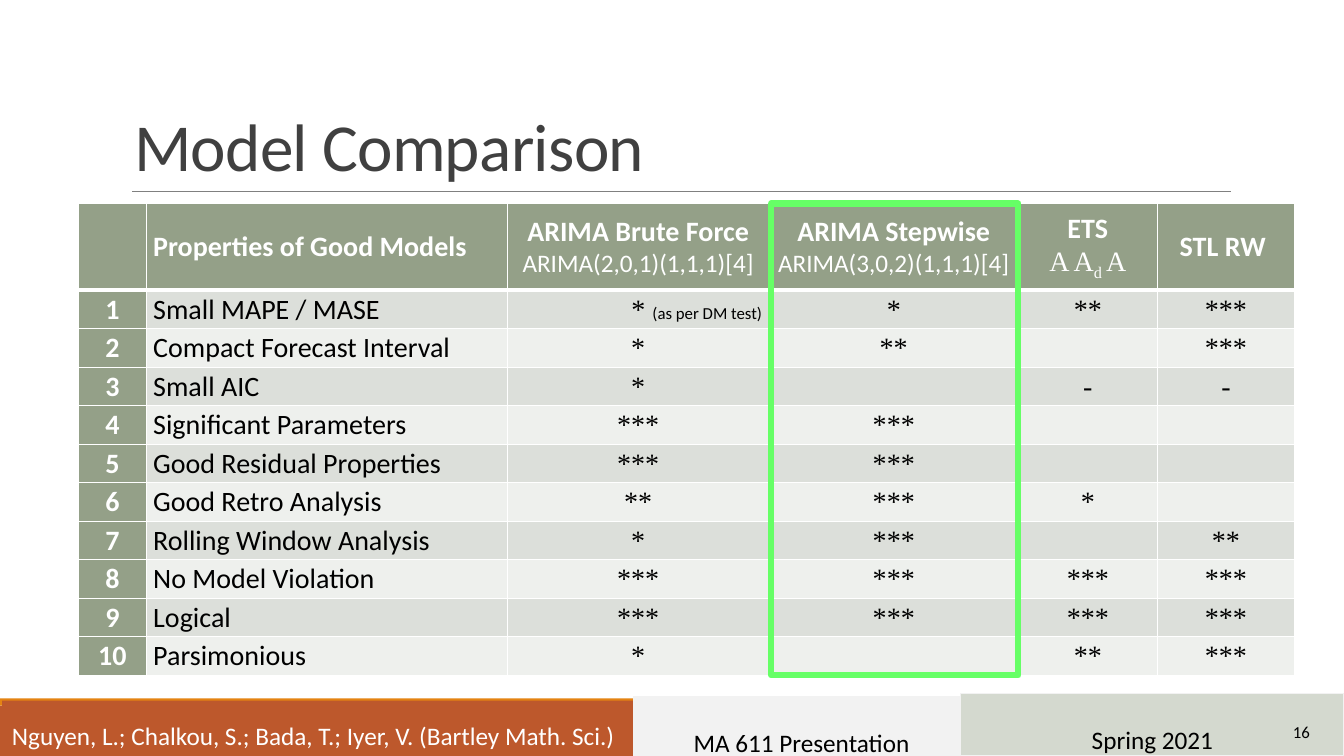
from lxml.etree import SubElement
from pptx import Presentation
from pptx.dml.color import RGBColor
from pptx.enum.shapes import MSO_CONNECTOR, MSO_SHAPE
from pptx.enum.text import MSO_ANCHOR as ANCHOR, PP_ALIGN as ALIGN
from pptx.oxml import parse_xml
from pptx.oxml.ns import nsdecls, qn
from pptx.util import Inches, Pt

COLORS = {
    "white": "FFFFFF", "black": "000000", "title": "404040", "rule": "808080",
    "rust": "BD582C", "orange": "E48312", "pale": "F2F2F2", "sage": "D4D9CF",
    "header": "94A088", "odd": "DCDFDA", "even": "EEF0ED", "green": "66FF66",
}
SANS, SERIF = "Calibri", "Times New Roman"
STYLES = {
    "title": dict(size=48, name=SANS, color="title"),
    "head": dict(size=20, name=SANS, color="white", bold=True),
    "order": dict(size=18, name=SANS, color="white", bold=False),
    "ets": dict(size=20, name=SERIF, color="white", bold=False),
    "sub": dict(size=20, name=SERIF, color="white", bold=False),
    "property": dict(size=20, name=SANS, color="black", bold=False),
    "stars": dict(size=20, name=SERIF, color="black", bold=False),
    "note": dict(size=12, name=SANS, color="black", bold=False),
    "authors": dict(size=18, name=SANS, color="white"),
    "footer": dict(size=18, name=SANS, color="black"),
}

# Each header cell is a list of paragraphs, each paragraph a list of runs
HEADERS = [
    [],
    [[("Properties of Good Models", "head")]],
    [[("ARIMA Brute Force", "head")], [("ARIMA(2,0,1)(1,1,1)[4]", "order")]],
    [[("ARIMA Stepwise", "head")], [("ARIMA(3,0,2)(1,1,1)[4]", "order")]],
    [[("ETS", "head")], [("A A", "ets"), ("d ", "sub"), ("A", "ets")]],
    [[("STL RW ", "head")]],
]
# Property, then the rating of each model
RATINGS = [
    ("Small MAPE / MASE", "* ", "*", "**", "***"),
    ("Compact Forecast Interval", "*", "**", "", "***"),
    ("Small AIC", "*", "", "-", "-"),
    ("Significant Parameters", "***", "***", "", ""),
    ("Good Residual Properties", "***", "***", "", ""),
    ("Good Retro Analysis", "**", "***", "*", ""),
    ("Rolling Window Analysis", "*", "***", "", "**"),
    ("No Model Violation", "***", "***", "***", "***"),
    ("Logical", "***", "***", "***", "***"),
    ("Parsimonious", "*", "", "**", "***"),
]
DM_NOTE = ("(as per DM test)", "note")
COL_WIDTHS = [0.67, 3.58, 2.6, 2.47, 1.38, 1.36]
HEADER_HEIGHT, ROW_HEIGHT = 0.86, 0.382
TABLE_LEFT, TABLE_TOP, TABLE_HEIGHT = 0.78, 2.02, 4.68

BANDS = [  # box, fill
    ((0, 7, 13.33, 0.5), "rust"),
    ((0, 6.93, 13.33, 0.07), "orange"),
]
FOOTERS = [  # box, fill, line, text, style, anchor, alignment, line spacing
    ((0.02, 6.95, 6.35, 0.51), "rust", None,
     "Nguyen, L.; Chalkou, S.; Bada, T.; Iyer, V. (Bartley Math. Sci.)",
     "authors", ANCHOR.TOP, ALIGN.LEFT, 1.5),
    ((6.28, 6.91, 3.34, 0.62), "pale", "pale", "MA 611 Presentation",
     "footer", ANCHOR.MIDDLE, ALIGN.CENTER, 2.0),
    ((9.53, 6.88, 3.8, 0.62), "sage", "pale", "Spring 2021",
     "footer", ANCHOR.MIDDLE, ALIGN.CENTER, 2.0),
]


def rgb(name):
    return RGBColor.from_string(COLORS[name])


def inches(box):
    return [Inches(v) for v in box]


def add_run(p, text, style):
    r = p.add_run()
    r.text = text
    for key, value in STYLES[style].items():
        if key == "color":
            r.font.color.rgb = rgb(value)
        else:
            setattr(r.font, key, Pt(value) if key == "size" else value)
    if style == "sub":
        r.font._element.set("baseline", "-25000")
    return r


def add_rect(slide, box, fill=None, line=None, width=0.75):
    sp = slide.shapes.add_shape(MSO_SHAPE.RECTANGLE, *inches(box))
    sp.shadow.inherit = False
    if fill:
        sp.fill.solid()
        sp.fill.fore_color.rgb = rgb(fill)
    else:
        sp.fill.background()
    if line:
        sp.line.color.rgb = rgb(line)
        sp.line.width = Pt(width)
    else:
        sp.line.fill.background()
    return sp


def set_borders(cell, widths):
    """Draw white borders; widths holds points for left, right, top, bottom."""
    tcPr = cell._tc.get_or_add_tcPr()
    for i, (side, width) in enumerate(zip("LRTB", widths)):
        tcPr.insert(i, parse_xml(
            f'<a:ln{side} {nsdecls("a")} w="{Pt(width)}"><a:solidFill>'
            f'<a:srgbClr val="{COLORS["white"]}"/></a:solidFill></a:ln{side}>'))


def fill_cell(cell, paragraphs, fill, align, borders):
    cell.fill.solid()
    cell.fill.fore_color.rgb = rgb(fill)
    cell.vertical_anchor = ANCHOR.MIDDLE
    cell.margin_left = cell.margin_right = Inches(0.07)
    cell.margin_top = cell.margin_bottom = 0
    set_borders(cell, borders)
    tf = cell.text_frame
    for i, runs in enumerate(paragraphs):
        p = tf.paragraphs[0] if i == 0 else tf.add_paragraph()
        p.alignment = align
        for text, style in runs:
            add_run(p, text, style)


def add_ratings_table(slide):
    box = (TABLE_LEFT, TABLE_TOP, sum(COL_WIDTHS), TABLE_HEIGHT)
    table = slide.shapes.add_table(
        len(RATINGS) + 1, len(COL_WIDTHS), *inches(box)).table
    for col, width in zip(table.columns, COL_WIDTHS):
        col.width = Inches(width)
    for i, row in enumerate(table.rows):
        row.height = Inches(ROW_HEIGHT if i else HEADER_HEIGHT)

    for c, paragraphs in enumerate(HEADERS):
        align = ALIGN.LEFT if c == 1 else ALIGN.CENTER
        fill_cell(table.cell(0, c), paragraphs, "header", align, (1, 1, 1, 3))
    for n, values in enumerate(RATINGS, 1):
        for c, text in enumerate((str(n), *values)):
            style = ("head", "property")[c] if c < 2 else "stars"
            fill = "header" if c == 0 else "odd" if n % 2 else "even"
            align = ALIGN.LEFT if c == 1 else ALIGN.CENTER
            runs = [(text, style)] if text else []
            if (n, c) == (1, 2):
                runs.append(DM_NOTE)
                align = ALIGN.RIGHT
            fill_cell(table.cell(n, c), [runs] if runs else [], fill, align,
                      (1, 1, 3 if n == 1 else 1, 1))


def main():
    prs = Presentation()
    prs.slide_width, prs.slide_height = Inches(13.33), Inches(7.5)
    slide = prs.slides.add_slide(prs.slide_layouts[5])

    for box, fill in BANDS:
        add_rect(slide, box, fill)
    rule = slide.shapes.add_connector(
        MSO_CONNECTOR.STRAIGHT, *inches((1.31, 1.9, 12.21, 1.9)))
    rule.line.color.rgb = rgb("rule")
    rule.line.width = Pt(0.5)
    SubElement(rule._element.spPr, qn("a:effectLst"))

    for box, fill, line, text, style, anchor, align, spacing in FOOTERS:
        tf = add_rect(slide, box, fill, line).text_frame
        tf.word_wrap = True
        tf.vertical_anchor = anchor
        p = tf.paragraphs[0]
        p.alignment, p.line_spacing = align, spacing
        add_run(p, text, style)

    title = slide.shapes.title
    title.left, title.top, title.width, title.height = inches(
        (1.23, 0.66, 10.9, 1.23))
    title.text_frame.vertical_anchor = ANCHOR.BOTTOM
    p = title.text_frame.paragraphs[0]
    p.alignment, p.line_spacing = ALIGN.LEFT, 0.85
    add_run(p, "Model Comparison", "title").font._element.set("spc", "-50")

    add_ratings_table(slide)

    number = slide.shapes.add_textbox(*inches((11.66, 7.06, 1.43, 0.4)))
    tf = number.text_frame
    tf.word_wrap = True
    tf.vertical_anchor = ANCHOR.MIDDLE
    tf.paragraphs[0].alignment = ALIGN.RIGHT
    add_run(tf.paragraphs[0], "16", "note")

    add_rect(slide, (7.65, TABLE_TOP, 2.45, TABLE_HEIGHT),
             line="green", width=4.5)
    prs.save("out.pptx")


if __name__ == "__main__":
    main()
